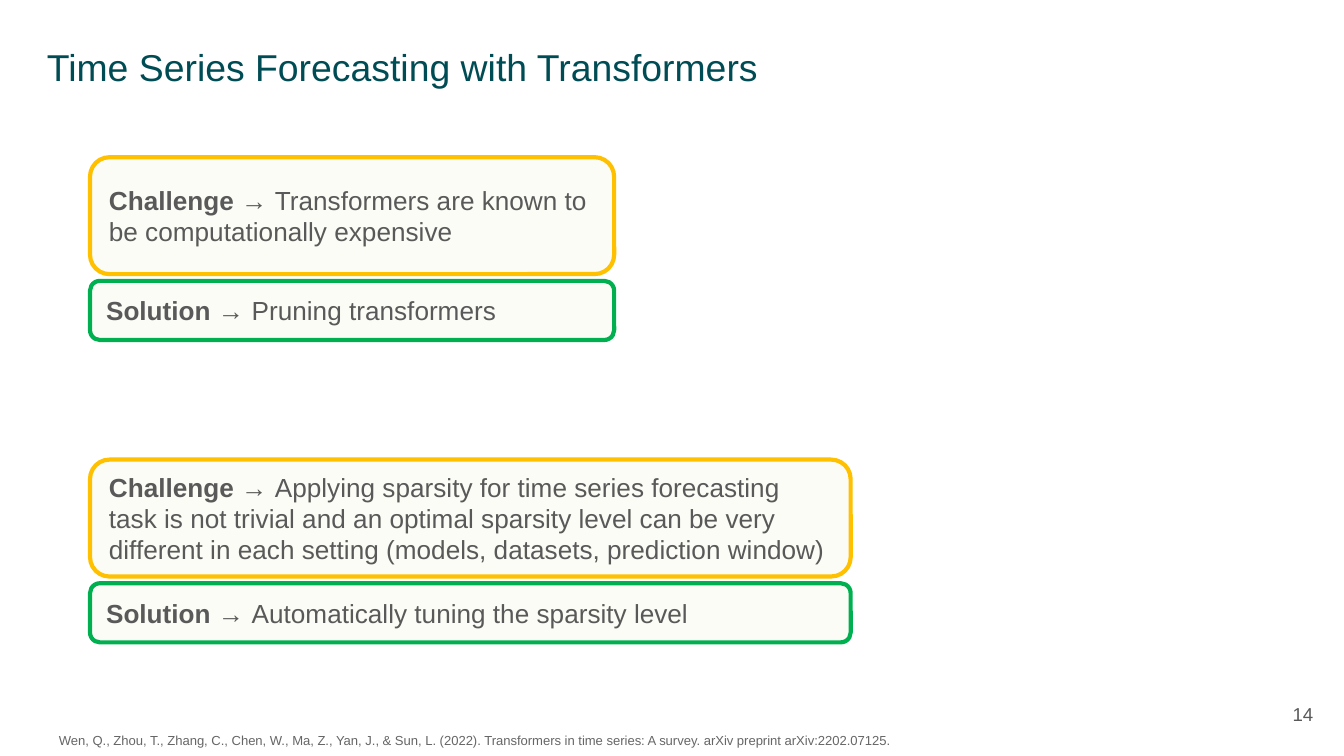
from pptx import Presentation
from pptx.dml.color import RGBColor
from pptx.enum.shapes import MSO_SHAPE
from pptx.enum.text import MSO_ANCHOR, PP_ALIGN
from pptx.util import Inches, Pt

ROUNDED = MSO_SHAPE.ROUNDED_RECTANGLE
TOP, MIDDLE = MSO_ANCHOR.TOP, MSO_ANCHOR.MIDDLE
LEFT, RIGHT = PP_ALIGN.LEFT, PP_ALIGN.RIGHT

TEAL = RGBColor(0x00, 0x4C, 0x54)
GRAY = RGBColor(0x59, 0x59, 0x59)
LIGHT_GRAY = RGBColor(0x66, 0x66, 0x66)
CREAM = RGBColor(0xFC, 0xFC, 0xF6)
AMBER = RGBColor(0xFF, 0xC0, 0x00)
GREEN = RGBColor(0x00, 0xB0, 0x50)

TITLE = "Time Series Forecasting with Transformers"
PAGE_NUMBER = "14"
CITATION = (
    "Wen, Q., Zhou, T., Zhang, C., Chen, W., Ma, Z., Yan, J., & Sun, L. (2022). "
    "Transformers in time series: A survey. arXiv preprint arXiv:2202.07125."
)
# top, width, challenge, solution
PAIRS = [
    (1.17, 3.9, "Transformers are known to be computationally expensive",
     "Pruning transformers"),
    (3.42, 5.66,
     "Applying sparsity for time series forecasting task is not trivial and an "
     "optimal sparsity level can be very different in each setting "
     "(models, datasets, prediction window)",
     "Automatically tuning the sparsity level"),
]

CARD_LEFT = 0.67
CHALLENGE_HEIGHT, SOLUTION_HEIGHT = 0.87, 0.44
CARD_GAP = 0.05


def write(shape, text, *, size, color, label="", align=LEFT, anchor=TOP, inset=0.05):
    """Fill a shape with one paragraph, led by an optional bold label."""
    tf = shape.text_frame
    tf.word_wrap = True
    tf.vertical_anchor = anchor
    tf.margin_left = tf.margin_right = Inches(0.1)
    tf.margin_top = tf.margin_bottom = Inches(inset)
    p = tf.paragraphs[0]
    p.alignment = align
    for part, bold in ((label, True), (text, False)):
        if part:
            r = p.add_run()
            r.text = part
            r.font.name = "Arial"
            r.font.size = Pt(size)
            r.font.bold = bold
            r.font.color.rgb = color


def add_text(s, box, text, **style):
    write(s.shapes.add_textbox(*map(Inches, box)), text, **style)


def add_card(s, box, label, text, border):
    sp = s.shapes.add_shape(ROUNDED, *map(Inches, box))
    sp.shadow.inherit = False
    sp.fill.solid()
    sp.fill.fore_color.rgb = CREAM
    sp.line.color.rgb = border
    sp.line.width = Pt(2.25)
    write(sp, text, label=f"{label} → ", size=14, color=GRAY, anchor=MIDDLE)


prs = Presentation()
prs.slide_width = Inches(10)
prs.slide_height = prs.slide_width * 9 // 16
s = prs.slides.add_slide(prs.slide_layouts[6])

add_text(s, (0.25, 0.23, 9.32, 0.99), TITLE, size=20, color=TEAL, inset=0.1)
add_text(s, (9.27, 5.1, 0.6, 0.43), PAGE_NUMBER, size=10, color=GRAY,
         align=RIGHT, anchor=MIDDLE, inset=0.1)
add_text(s, (0.34, 5.4, 8.33, 0.22), CITATION, size=7, color=LIGHT_GRAY)

for top, width, challenge, solution in PAIRS:
    add_card(s, (CARD_LEFT, top, width, CHALLENGE_HEIGHT),
             "Challenge", challenge, AMBER)
    solution_top = top + CHALLENGE_HEIGHT + CARD_GAP
    add_card(s, (CARD_LEFT, solution_top, width, SOLUTION_HEIGHT),
             "Solution", solution, GREEN)

prs.save("out.pptx")
